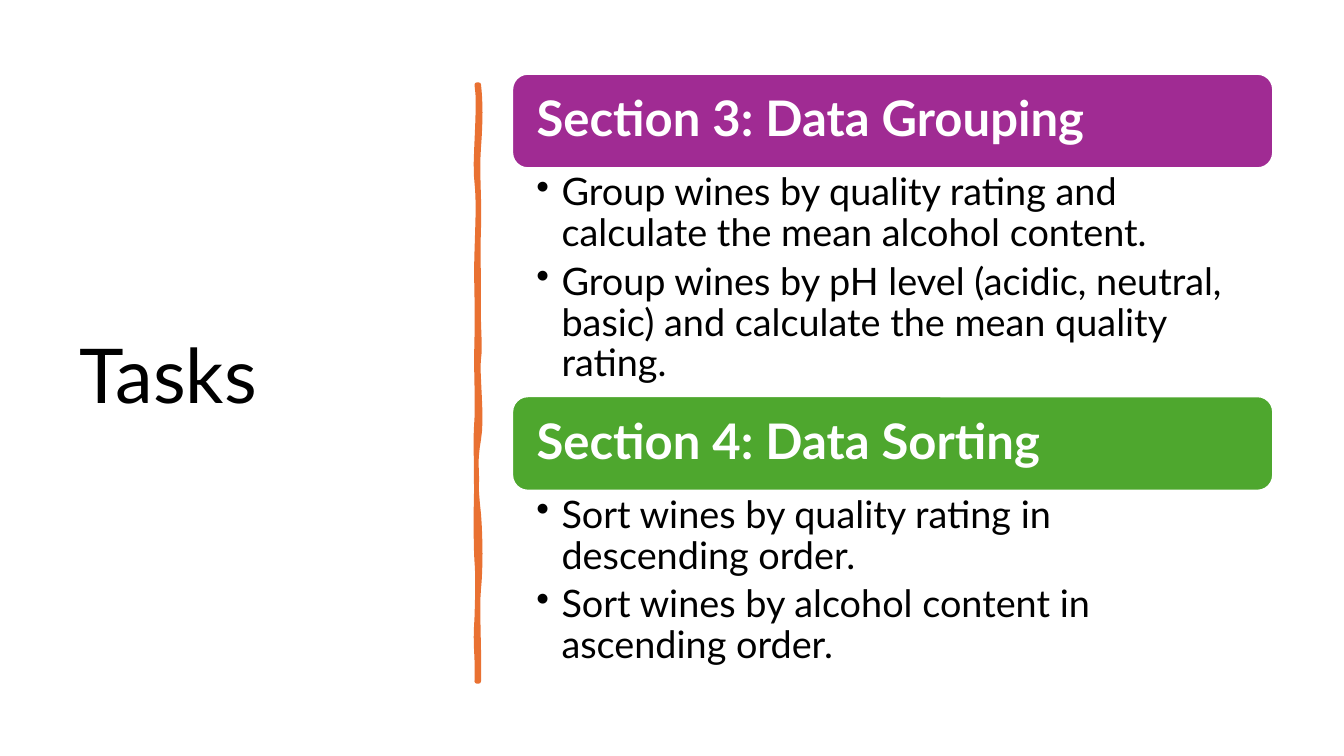
import pptx
import pptx.dml.color
import pptx.enum.shapes
import pptx.enum.text
import pptx.oxml.ns
import pptx.util
from lxml import etree

Pt = pptx.util.Pt
RGBColor = pptx.dml.color.RGBColor
Anchor = pptx.enum.text.MSO_ANCHOR
qn = pptx.oxml.ns.qn

BLACK = RGBColor(0x00, 0x00, 0x00)
WHITE = RGBColor(0xFF, 0xFF, 0xFF)
ORANGE = RGBColor(0xE9, 0x71, 0x32)
PURPLE = RGBColor(0xA0, 0x2B, 0x93)
GREEN = RGBColor(0x4E, 0xA7, 0x2E)

SECTION_LEFT, SECTION_WIDTH = 365.8, 543.6
BANNER_HEIGHT = 67.5

SECTIONS = [
    (52.7, PURPLE, "Section 3: Data Grouping", 162.7, [
        "Group wines by quality rating and calculate the mean alcohol content.",
        "Group wines by pH level (acidic, neutral, basic) and calculate the mean quality rating.",
    ]),
    (283, GREEN, "Section 4: Data Sorting", 134, [
        "Sort wines by quality rating in descending order.",
        "Sort wines by alcohol content in ascending order.",
    ]),
]

# Each edge of the brush stroke: x, start y, then curves as
# (control x, control y, control x, control y, end y).
BRUSH_EDGES = [
    (342, 60.5, [
        (343.4, 73.4, 343.4, 85.7, 105.1),
        (340.6, 124.6, 342.7, 140.4, 162.7),
        (341.3, 185, 342, 188.6, 211.7),
        (341.3, 234, 343.4, 246.2, 256.3),
        (340.6, 266.4, 344.9, 298.1, 313.9),
        (339.1, 329, 339.8, 348.5, 367.2),
        (343.4, 385.9, 343.4, 406.1, 420.5),
        (340.6, 434.2, 342.7, 468, 486.7),
    ]),
    (340.6, 486.7, [
        (341.3, 465.1, 339.1, 463.7, 441.4),
        (341.3, 419.8, 341.3, 410.4, 401),
        (339.8, 391.7, 339.8, 356.4, 343.4),
        (340.6, 330.5, 339.1, 320.4, 298.8),
        (341.3, 277.9, 339.8, 268.6, 241.2),
        (341.3, 214.6, 339.8, 202.3, 180),
        (341.3, 157, 342, 144, 130.3),
        (338.4, 117.4, 343.4, 74.9, 60.5),
    ]),
]


def curve_points(edge_x, start_y, curves, steps=8):
    """Return points along a chain of cubic curves that all end on edge_x."""
    points = [(edge_x, start_y)]
    for x1, y1, x2, y2, end_y in curves:
        for step in range(1, steps + 1):
            t = step / steps
            weights = ((1 - t) ** 3, 3 * t * (1 - t) ** 2, 3 * t * t * (1 - t), t ** 3)
            x = sum(w * v for w, v in zip(weights, (edge_x, x1, x2, edge_x)))
            y = sum(w * v for w, v in zip(weights, (start_y, y1, y2, end_y)))
            points.append((x, y))
        start_y = end_y
    return points


class SlideBuilder:
    font_name = "Lato"
    line_spacing = 0.9

    def __init__(self, presentation):
        self.slide = presentation.slides.add_slide(presentation.slide_layouts[6])

    def paint(self, shape, fill, line, line_width):
        shape.shadow.inherit = False
        shape.fill.solid()
        shape.fill.fore_color.rgb = fill
        shape.line.color.rgb = line
        shape.line.width = Pt(line_width)

    def set_frame(self, shape, margins, anchor):
        frame = shape.text_frame
        frame.word_wrap = True
        frame.vertical_anchor = anchor
        (frame.margin_left, frame.margin_top,
         frame.margin_right, frame.margin_bottom) = (Pt(margin) for margin in margins)
        return frame

    def add_text(self, paragraph, text, size, color, bold=False):
        paragraph.alignment = pptx.enum.text.PP_ALIGN.LEFT
        paragraph.line_spacing = self.line_spacing
        run = paragraph.add_run()
        run.text = text
        run.font.name = self.font_name
        run.font.size = Pt(size)
        run.font.bold = bold
        run.font.color.rgb = color

    def title(self, text, left, top, width, height):
        box = self.slide.shapes.add_textbox(Pt(left), Pt(top), Pt(width), Pt(height))
        frame = self.set_frame(box, (7.2, 3.6, 7.2, 3.6), Anchor.MIDDLE)
        self.add_text(frame.paragraphs[0], text, 54, BLACK)

    def brush_stroke(self, edges, color):
        points = [point for edge in edges for point in curve_points(*edge)]
        start, *rest = [(Pt(x), Pt(y)) for x, y in points]
        builder = self.slide.shapes.build_freeform(*start)
        builder.add_line_segments(rest, close=True)
        shape = builder.convert_to_shape()
        self.paint(shape, color, color, 3.25)
        etree.SubElement(shape.element.spPr.find(qn("a:ln")), qn("a:round"))

    def banner(self, text, top, color):
        shape = self.slide.shapes.add_shape(
            pptx.enum.shapes.MSO_SHAPE.ROUNDED_RECTANGLE,
            Pt(SECTION_LEFT), Pt(top), Pt(SECTION_WIDTH), Pt(BANNER_HEIGHT))
        self.paint(shape, color, WHITE, 1.5)
        frame = self.set_frame(shape, (14.2, 10.8, 14.2, 10.8), Anchor.MIDDLE)
        self.add_text(frame.paragraphs[0], text, 35, WHITE, bold=True)

    def bullets(self, items, top, height):
        box = self.slide.shapes.add_textbox(
            Pt(SECTION_LEFT), Pt(top), Pt(SECTION_WIDTH), Pt(height))
        frame = self.set_frame(box, (17.3, 3.6, 19.4, 3.6), Anchor.TOP)
        for index, item in enumerate(items):
            paragraph = frame.add_paragraph() if index else frame.paragraphs[0]
            paragraph.level = 1
            paragraph.space_after = Pt(5.4)
            properties = paragraph._p.get_or_add_pPr()
            properties.set("marL", str(Pt(18)))
            properties.set("indent", str(-Pt(18)))
            etree.SubElement(properties, qn("a:buChar"), char="•")
            self.add_text(paragraph, item, 27, BLACK)


def main():
    presentation = pptx.Presentation()
    presentation.slide_width = Pt(960)
    presentation.slide_height = Pt(540)

    builder = SlideBuilder(presentation)
    builder.title("Tasks", 49.7, 50.4, 269.3, 440)
    builder.brush_stroke(BRUSH_EDGES, ORANGE)
    for top, color, heading, list_height, items in SECTIONS:
        builder.banner(heading, top, color)
        builder.bullets(items, top + BANNER_HEIGHT, list_height)

    presentation.save("out.pptx")


if __name__ == "__main__":
    main()
